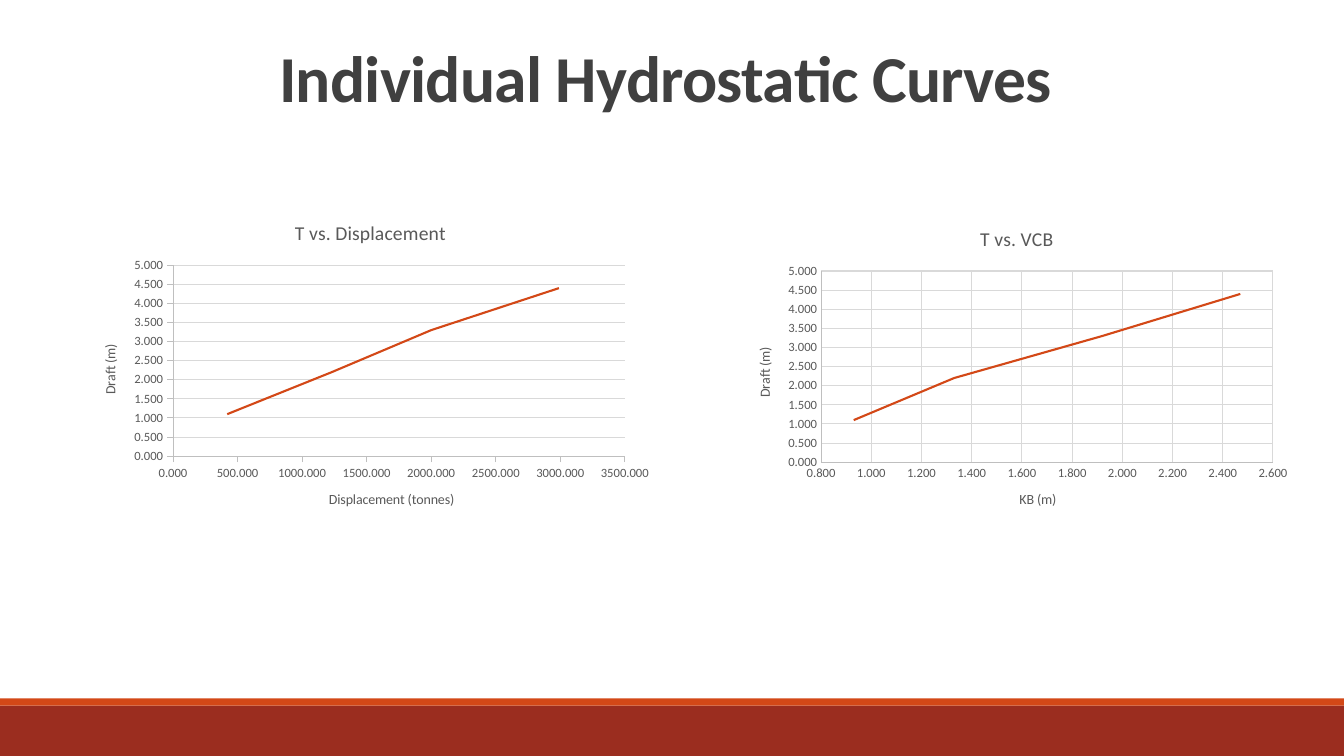
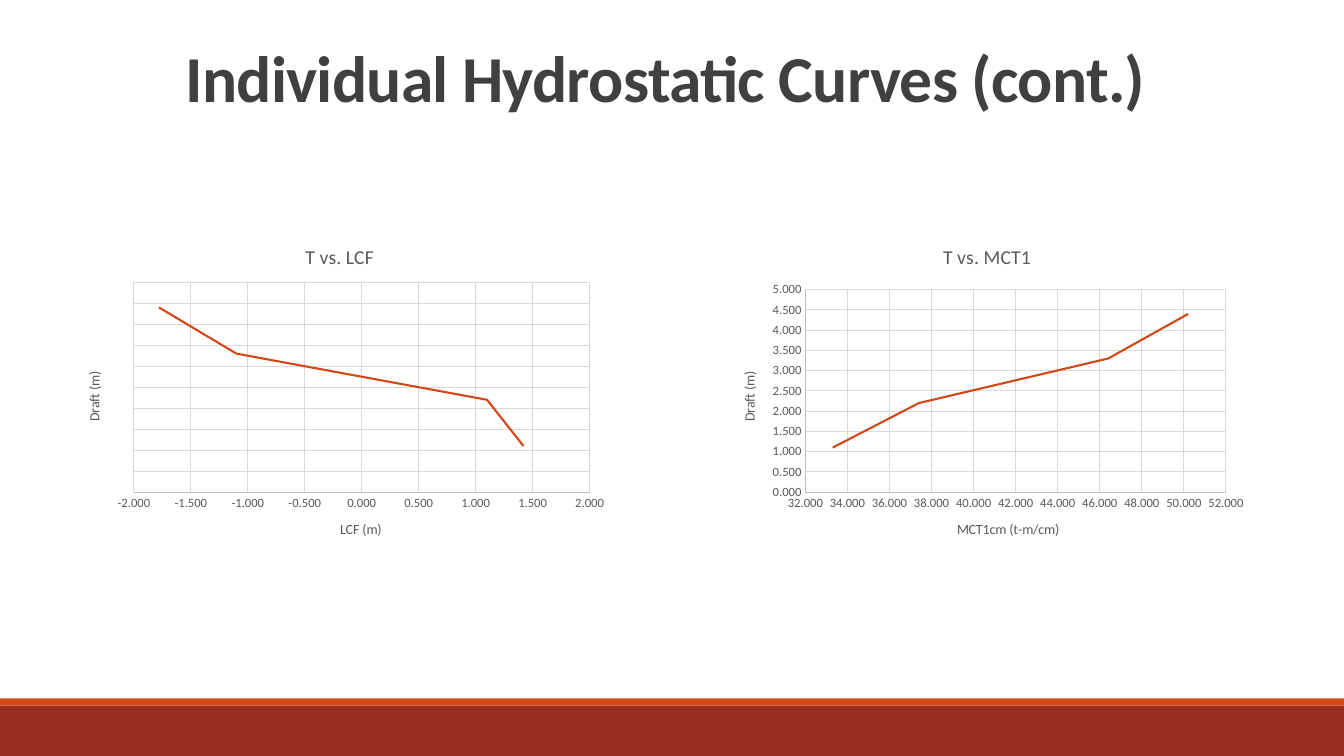
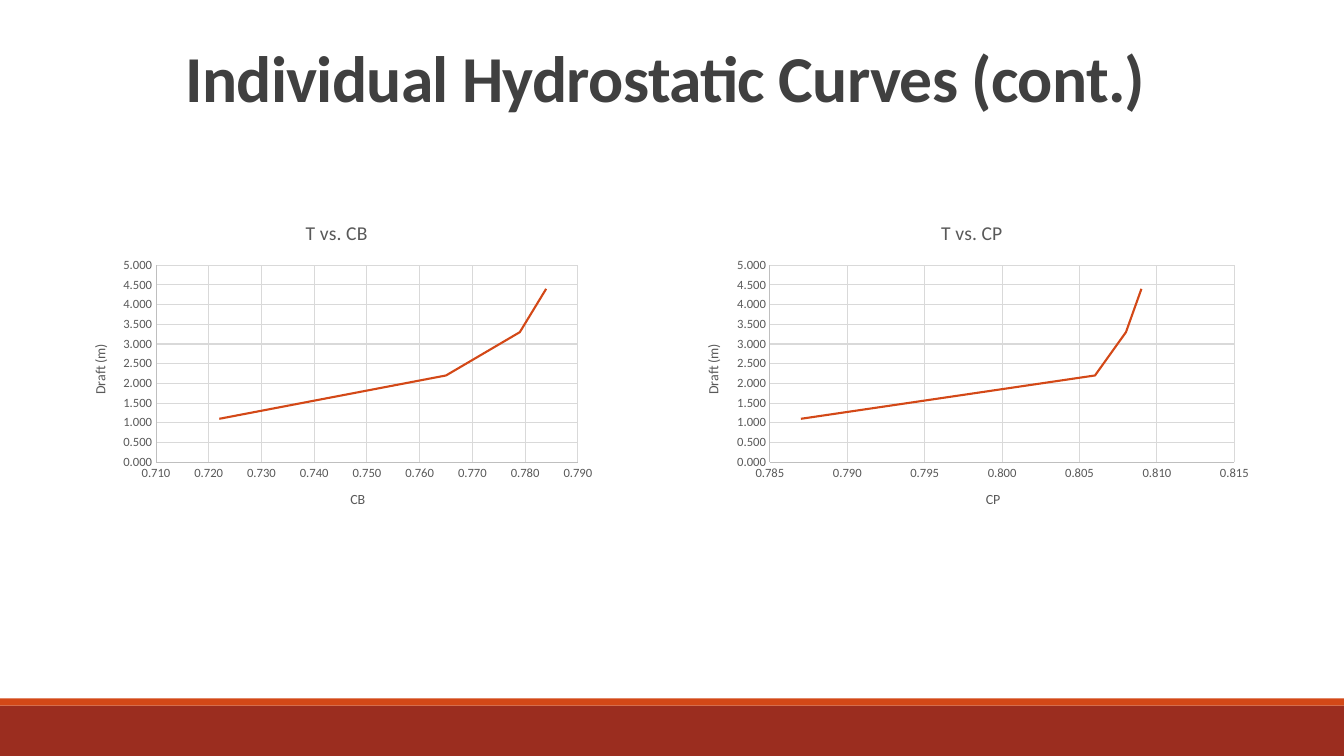
from pptx import Presentation
from pptx.chart.data import XyChartData
from pptx.dml.color import RGBColor
from pptx.enum.chart import XL_AXIS_CROSSES as Crosses, XL_CHART_TYPE as ChartType
from pptx.enum.chart import XL_TICK_MARK as Tick
from pptx.enum.shapes import MSO_SHAPE as Preset
from pptx.enum.text import MSO_ANCHOR as Anchor, MSO_AUTO_SIZE as AutoSize, PP_ALIGN as Align
from pptx.util import Inches, Pt

FONT = "Calibri"
ORANGE, BRICK = "D34817", "9B2D1F"
HEADING, LABEL, AXIS, GRID = "404040", "595959", "BFBFBF", "D9D9D9"
WIDTH, HEIGHT = 13.33, 7.5
TITLE_BOX = (1.1, 0.44, 11, 1.59)
BANDS = [(7, 0.5, BRICK), (6.93, 0.07, ORANGE)]
DRAFTS = (1.1, 2.2, 3.3, 4.4)
CONTINUED = "Individual Hydrostatic Curves (cont.)"

PAGES = [
    ("Individual Hydrostatic Curves", [
        dict(box=(0.8, 2.02, 5.75, 3.22), heading="T vs. Displacement",
             label="Displacement (tonnes)", values=(420, 1230, 2000, 2990),
             scale=(0, 3500, 500), tick=Tick.OUTSIDE, upright_grid=False),
        dict(box=(7.29, 2.08, 5.59, 3.16), heading="T vs. VCB", label="KB (m)",
             values=(0.93, 1.33, 1.92, 2.47), scale=(0.8, 2.6, 0.2)),
    ]),
    (CONTINUED, [
        dict(box=(0.64, 2.26, 5.46, 3.28), heading="T vs. LCF", label="LCF (m)",
             values=(1.42, 1.1, -1.1, -1.78), scale=(-2, 2, 0.5), show_draft=False),
        dict(box=(7.14, 2.26, 5.3, 3.28), heading="T vs. MCT1", label="MCT1cm (t-m/cm)",
             values=(33.3, 37.4, 46.4, 50.2), scale=(32, 52, 2)),
    ]),
    (CONTINUED, [
        dict(box=(0.7, 2.02, 5.28, 3.22), heading="T vs. CB", label="CB",
             values=(0.722, 0.765, 0.779, 0.784), scale=(0.71, 0.79, 0.01)),
        dict(box=(6.78, 2.02, 5.72, 3.22), heading="T vs. CP", label="CP",
             values=(0.787, 0.806, 0.808, 0.809), scale=(0.785, 0.815, 0.005)),
    ]),
]


def rgb(value):
    """Turn a hex string into a colour."""
    return RGBColor.from_string(value)


def write(frame, text, size, color=LABEL, bold=False, spacing=None, tracking=None):
    """Put one centred, formatted line of text into a frame."""
    frame.text = text
    paragraph = frame.paragraphs[0]
    paragraph.alignment = Align.CENTER
    if spacing is not None:
        paragraph.line_spacing = spacing
    run = paragraph.runs[0]
    run.font.name, run.font.size, run.font.bold = FONT, Pt(size), bold
    run.font.color.rgb = rgb(color)
    if tracking is not None:
        run._r.get_or_add_rPr().set("spc", str(round(tracking * 100)))


def stroke(line, color, width):
    """Colour a line and set its width in points."""
    line.color.rgb = rgb(color)
    line.width = Pt(width)


def place(part, box):
    """Move a part to a box given in inches."""
    part.left, part.top, part.width, part.height = map(Inches, box)


def add_bands(slide):
    """Draw the bottom bands and move them to the layout the slides share."""
    layout_tree = slide.slide_layout.shapes.element
    for position, (top, height, color) in enumerate(BANDS, start=2):
        band = slide.shapes.add_shape(
            Preset.RECTANGLE, 0, Inches(top), Inches(WIDTH), Inches(height))
        band.shadow.inherit = False
        band.fill.solid()
        band.fill.fore_color.rgb = rgb(color)
        band.line.fill.background()
        layout_tree.insert(position, band.element)


def add_title(slide, text):
    """Fill the title placeholder."""
    title = slide.shapes.title
    place(title, TITLE_BOX)
    frame = title.text_frame
    frame.word_wrap = True
    frame.auto_size = AutoSize.NONE
    frame.vertical_anchor = Anchor.TOP
    write(frame, text, 46.8, color=HEADING, bold=True, spacing=0.85, tracking=-0.5)


def style_axis(axis, label, scale, tick, grid=True):
    """Set the scale, label, tick marks and lines of one axis."""
    axis.minimum_scale, axis.maximum_scale, axis.major_unit = scale
    axis.crosses = Crosses.MINIMUM
    axis.major_tick_mark, axis.minor_tick_mark = tick, Tick.NONE
    axis.has_major_gridlines = grid
    if grid:
        stroke(axis.major_gridlines.format.line, GRID, 0.75)
    stroke(axis.format.line, AXIS, 0.75)
    axis.tick_labels.number_format = "0.000"
    axis.tick_labels.number_format_is_linked = False
    font = axis.tick_labels.font
    font.name, font.size, font.color.rgb = FONT, Pt(9), rgb(LABEL)
    write(axis.axis_title.text_frame, label, 10)


def add_curve(slide, box, heading, label, values, scale,
              tick=Tick.NONE, upright_grid=True, show_draft=True):
    """Plot draft against one hydrostatic quantity."""
    data = XyChartData()
    points = data.add_series("Series 1")
    for value, draft in zip(values, DRAFTS):
        points.add_data_point(value, draft)
    chart = slide.shapes.add_chart(
        ChartType.XY_SCATTER_SMOOTH_NO_MARKERS, *map(Inches, box), data).chart
    chart.has_legend = False
    chart.font.name, chart.font.size = FONT, Pt(10)
    write(chart.chart_title.text_frame, heading, 14)
    chart.chart_title.include_in_layout = False
    style_axis(chart.category_axis, label, scale, tick, upright_grid)
    style_axis(chart.value_axis, "Draft (m)", (0, 5, 0.5), tick)
    chart.value_axis.visible = show_draft
    plot = chart.plots[0]
    plot.vary_by_categories = False
    curve = plot.series[0]
    curve.smooth = True
    stroke(curve.format.line, ORANGE, 1.5)


def main():
    """Build and save the deck."""
    deck = Presentation()
    deck.slide_width, deck.slide_height = Inches(WIDTH), Inches(HEIGHT)
    title_only = deck.slide_layouts[5]
    for title, curves in PAGES:
        slide = deck.slides.add_slide(title_only)
        add_title(slide, title)
        for curve in curves:
            add_curve(slide, **curve)
    add_bands(deck.slides[0])
    deck.save("out.pptx")


if __name__ == "__main__":
    main()
